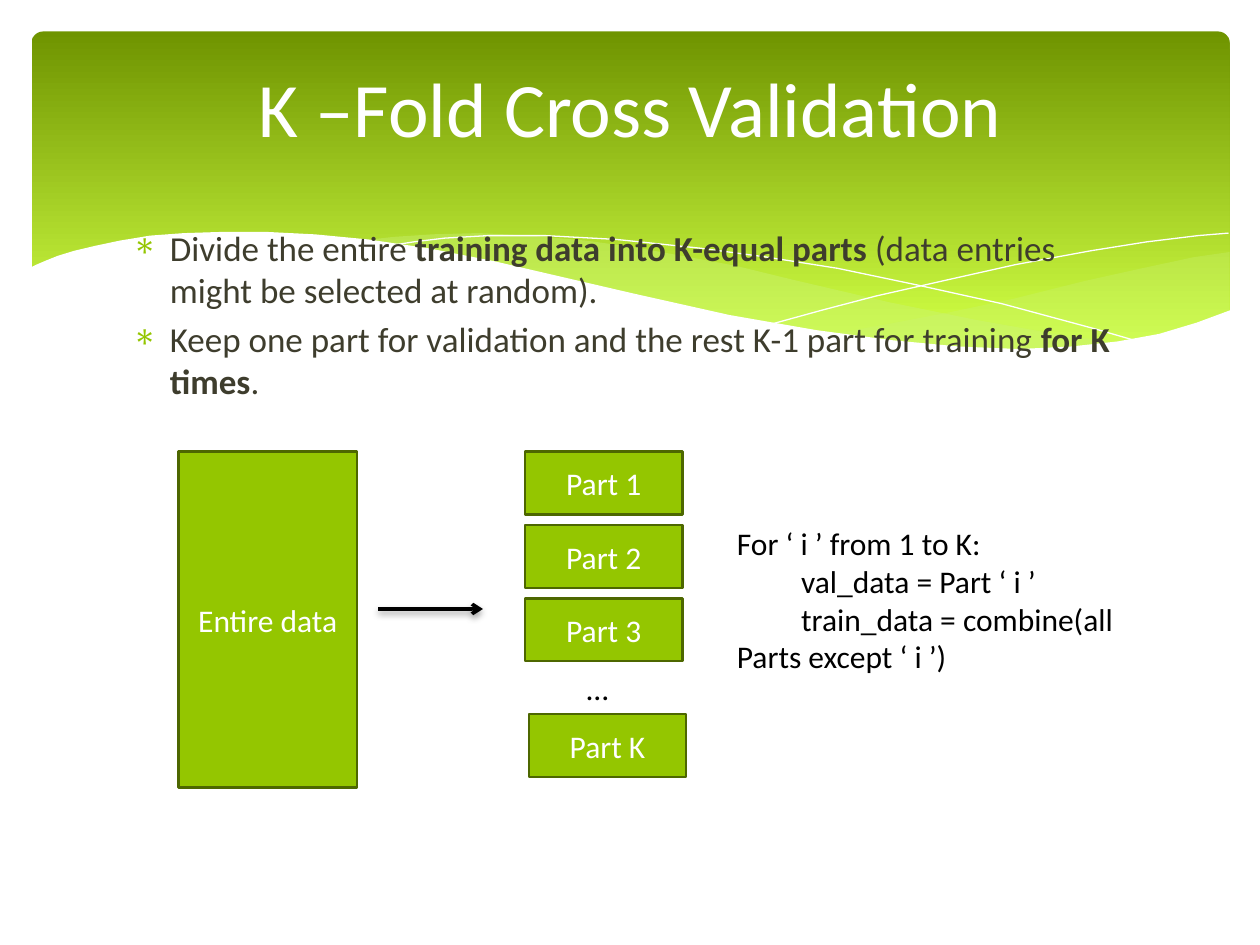
from lxml import etree
from pptx import Presentation
from pptx.dml.color import RGBColor
from pptx.enum.shapes import MSO_CONNECTOR, MSO_SHAPE
from pptx.enum.text import MSO_ANCHOR, PP_ALIGN
from pptx.oxml.ns import qn
from pptx.util import Inches, Pt

RECT, ROUNDED = MSO_SHAPE.RECTANGLE, MSO_SHAPE.ROUNDED_RECTANGLE
STRAIGHT = MSO_CONNECTOR.STRAIGHT
MIDDLE, CENTER, LEFT = MSO_ANCHOR.MIDDLE, PP_ALIGN.CENTER, PP_ALIGN.LEFT
FONT = "Calibri"
UNIT = 1 / 12
COLORS = {"dark": "6F9400", "light": "D0FF44", "wave": "CAF278", "white": "FFFFFF",
          "body": "3E3D2D", "green": "94C600", "edge": "4D6700", "black": "000000"}

RIGHT_WAVE = [(976, 200), (948, 204), (906, 213), (861, 223), (805, 237), (753, 248),
              (706, 257), (661, 265), (691, 269), (732, 274), (769, 277), (803, 278),
              (835, 277), (872, 274), (905, 269), (935, 262), (963, 252), (976, 247)]
MIDDLE_WAVE = [(893, 273), (837, 265), (775, 254), (706, 240), (629, 222), (584, 211),
               (541, 203), (502, 196), (465, 191), (420, 187), (380, 185), (344, 186),
               (313, 188), (286, 191), (342, 199), (404, 211), (449, 222), (530, 240),
               (601, 255), (665, 266), (722, 274), (773, 277), (818, 278), (857, 277),
               (893, 273)]
FALLING_LINE = [(309, 195), (328, 192), (353, 189), (387, 187), (433, 187), (489, 190),
                (556, 197), (608, 204), (665, 213), (727, 226), (795, 241), (869, 261),
                (907, 272)]
RISING_LINE = [(613, 257), (653, 246), (695, 235), (748, 223), (806, 210), (866, 199),
               (910, 192), (951, 187), (975, 185)]
WHITE_WAVE = [(977, 246), (950, 256), (920, 265), (887, 271), (850, 275), (809, 277),
              (761, 275), (708, 270), (648, 262), (579, 250), (503, 233), (447, 220),
              (391, 207), (340, 197), (292, 190), (250, 186), (211, 184), (177, 184),
              (146, 185), (119, 187), (95, 191), (76, 195), (59, 199), (46, 203),
              (36, 207), (29, 210), (23, 213), (23, 329), (977, 329)]


def color(name):
    """Return the named color."""
    return RGBColor.from_string(COLORS[name])


def child(parent, tag, **attributes):
    """Append a drawing element with the given attributes."""
    return etree.SubElement(parent, qn(tag), {k: str(v) for k, v in attributes.items()})


def style(para, size, name, align=LEFT):
    """Set the font and alignment of a paragraph."""
    para.font.name, para.font.size = FONT, Pt(size)
    para.font.color.rgb = color(name)
    para.alignment = align


def text_box(page, left, top, width, height, wrap=True):
    """Add a text box and return its text frame."""
    frame = page.shapes.add_textbox(*map(Inches, (left, top, width, height))).text_frame
    frame.word_wrap = wrap
    return frame


def outline(page, points, fill=None, opacity=100):
    """Draw a filled wave, or an open white hairline when no fill is given."""
    builder = page.shapes.build_freeform(*points[0], scale=Inches(0.01))
    builder.add_line_segments(points[1:], close=fill is not None)
    shape = builder.convert_to_shape()
    shape.shadow.inherit = False
    if fill is None:
        shape.fill.background()
        shape.line.color.rgb = color("white")
        shape.line.width = 0
        return
    shape.line.fill.background()
    shape.fill.solid()
    shape.fill.fore_color.rgb = color(fill)
    if opacity < 100:
        paint = shape.element.spPr.find(qn("a:solidFill"))[0]
        child(paint, "a:alpha", val=opacity * 1000)


def banner(page, left, top, width, height):
    """Draw the green gradient banner and the waves along its foot."""
    panel = page.shapes.add_shape(ROUNDED, *map(Inches, (left, top, width, height)))
    panel.adjustments[0] = 0.034
    panel.shadow.inherit = False
    panel.line.fill.background()
    panel.fill.gradient()
    panel.fill.gradient_angle = 270
    for stop, name, position in zip(panel.fill.gradient_stops, ("dark", "light"), (0, 0.9)):
        stop.color.rgb = color(name)
        stop.position = position
    outline(page, RIGHT_WAVE, "wave", 29)
    outline(page, MIDDLE_WAVE, "wave", 40)
    outline(page, FALLING_LINE)
    outline(page, RISING_LINE)
    outline(page, WHITE_WAVE, "white")


def heading(page, text, left, top, width, height):
    """Place the title in front of the banner."""
    title = page.shapes.title
    title.left, title.top, title.width, title.height = map(Inches, (left, top, width, height))
    title.text_frame.text = text
    title.text_frame.vertical_anchor = MIDDLE
    style(title.text_frame.paragraphs[0], 44, "white", CENTER)
    title.element.getparent().append(title.element)


def bullets(page, items, left, top, width, height):
    """Write bulleted items, each a list of (text, bold) spans."""
    frame = text_box(page, left, top, width, height)
    for index, item in enumerate(items):
        para = frame.add_paragraph() if index else frame.paragraphs[0]
        style(para, 20, "body")
        para.space_before = Pt(4)
        for text, bold in item:
            span = para.add_run()
            span.text, span.font.bold = text, bold
        props = para._p.get_or_add_pPr()
        props.set("marL", str(Inches(0.3)))
        props.set("indent", str(-Inches(0.3)))
        mark = etree.Element(qn("a:buClr"))
        child(mark, "a:srgbClr", val=COLORS["green"])
        props.find(qn("a:spcBef")).addnext(mark)
        sign = etree.Element(qn("a:buChar"), {"char": "\u2217"})
        mark.addnext(sign)


def block(page, text, left, top, width, height):
    """Draw a labelled green rectangle."""
    shape = page.shapes.add_shape(RECT, *map(Inches, (left, top, width, height)))
    shape.shadow.inherit = False
    shape.fill.solid()
    shape.fill.fore_color.rgb = color("green")
    shape.line.color.rgb = color("edge")
    shape.line.width = Pt(1.25)
    shape.text_frame.text = text
    shape.text_frame.vertical_anchor = MIDDLE
    style(shape.text_frame.paragraphs[0], 18, "white", CENTER)


def arrow(page, left, right, y):
    """Draw a horizontal arrow with a soft shadow."""
    line = page.shapes.add_connector(STRAIGHT, *map(Inches, (left, y, right, y)))
    line.line.color.rgb = color("black")
    line.line.width = Pt(2)
    props = line.element.spPr
    child(props.find(qn("a:ln")), "a:tailEnd", type="arrow")
    shadow = child(child(props, "a:effectLst"), "a:outerShdw", blurRad=Pt(4), dist=Pt(2),
                   dir=90 * 60000, rotWithShape=0)
    child(child(shadow, "a:srgbClr", val=COLORS["black"]), "a:alpha", val=38000)


def split_diagram(page, left, top):
    """Show the entire data split into K parts, on a grid of twelfths of an inch."""
    block(page, "Entire data", left, top, 17 * UNIT, 32 * UNIT)
    arrow(page, left + 19 * UNIT, left + 29 * UNIT, top + 15 * UNIT)
    parts = left + 33 * UNIT
    for row in range(3):
        block(page, f"Part {row + 1}", parts, top + 7 * row * UNIT, 15 * UNIT, 6 * UNIT)
    block(page, "Part K", parts + 0.03, top + 25 * UNIT, 15 * UNIT, 6 * UNIT)
    frame = text_box(page, parts + 0.39, top + 1.68, 0.45, 0.4, wrap=False)
    frame.text = "…"
    style(frame.paragraphs[0], 18, "black")


def pseudocode(page, lines, left, top, width, height):
    """Write a loop whose inner lines start indented."""
    frame = text_box(page, left, top, width, height)
    frame.text = "\n".join(lines)
    for index, para in enumerate(frame.paragraphs):
        style(para, 18, "black")
        if index:
            para._p.get_or_add_pPr().set("indent", str(Inches(0.51)))


def main():
    """Build and save the slide."""
    deck = Presentation()
    deck.slide_width, deck.slide_height = Inches(10), Inches(7.5)
    page = deck.slides.add_slide(deck.slide_layouts[5])
    banner(page, 0.25, 0.25, 9.51, 2.7)
    bullets(page, [
        [("Divide the entire ", False), ("training data into K-equal parts", True),
         (" (data entries might be selected at random).", False)],
        [("Keep one part for validation and the rest K-1 part for training ", False),
         ("for K times", True), (".", False)],
    ], 0.95, 1.75, 8.1, 1.58)
    heading(page, "K –Fold Cross Validation", 0.5, 0.37, 9, 0.96)
    split_diagram(page, 17 * UNIT, 43 * UNIT)
    pseudocode(page, ["For ‘ i ’ from 1 to K:", "val_data = Part ‘ i ’",
                      "train_data = combine(all Parts except ‘ i ’)"], 5.75, 4.11, 3.42, 1.31)
    deck.save("out.pptx")


main()
